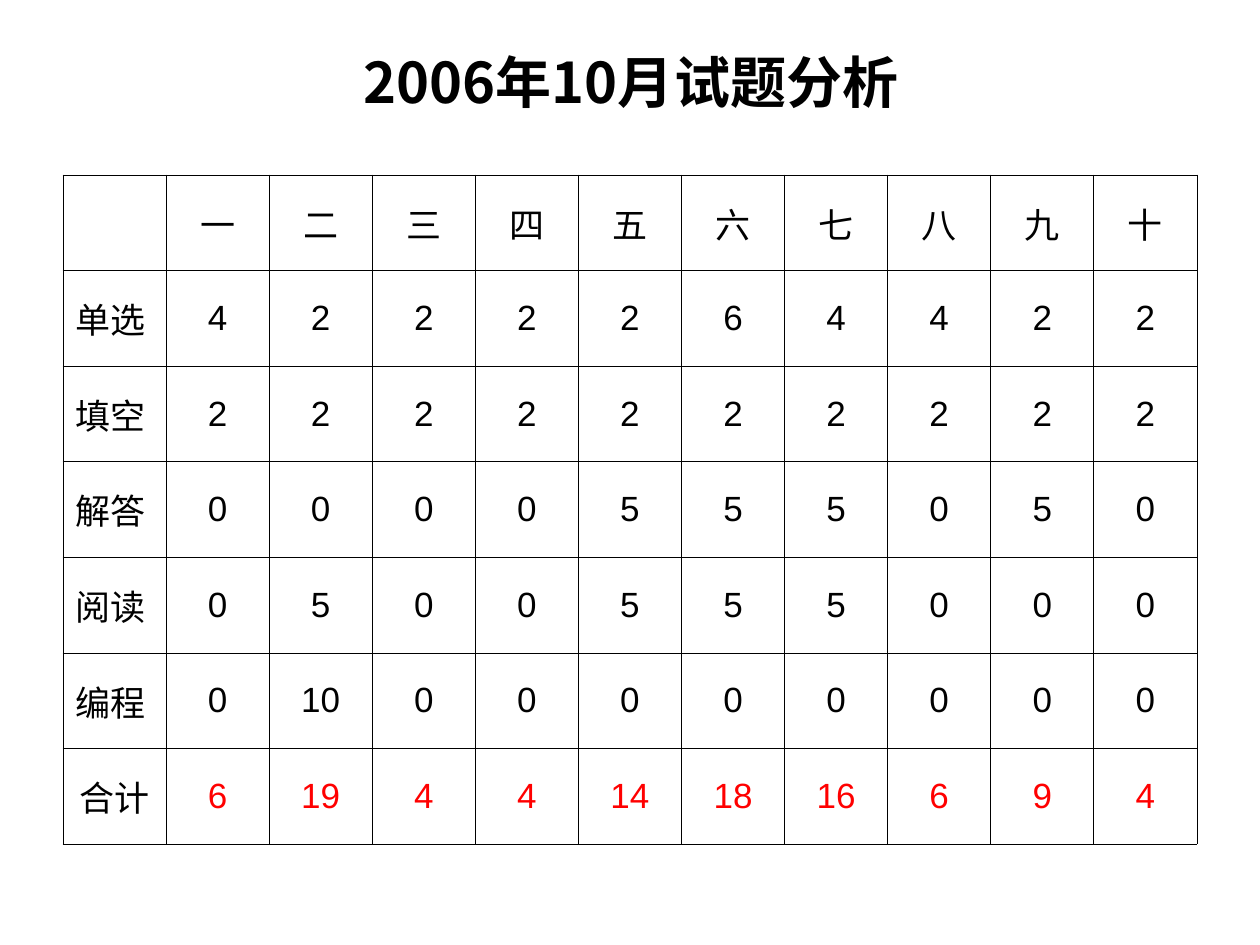
import pptx
import pptx.dml.color
import pptx.enum.text
import pptx.oxml
import pptx.oxml.ns
import pptx.util

Pt = pptx.util.Pt
ALIGN = pptx.enum.text.PP_ALIGN
MIDDLE = pptx.enum.text.MSO_ANCHOR.MIDDLE
CHINESE_FONT = "Noto Sans CJK SC"
BLACK, RED = "000000", "FF0000"


def write_text(frame, text, size=20, font=CHINESE_FONT, color=BLACK, bold=False, align=ALIGN.CENTER):
    para = frame.paragraphs[0]
    para.alignment = align
    span = para.add_run()
    span.text = text
    span.font.size = Pt(size)
    span.font.bold = bold
    span.font.color.rgb = pptx.dml.color.RGBColor.from_string(color)
    span.font.name = font
    east_asian = pptx.oxml.parse_xml(f'<a:ea {pptx.oxml.ns.nsdecls("a")} typeface="{CHINESE_FONT}"/>')
    span.font._element.append(east_asian)


def add_borders(cell, color=BLACK, width=0.45):
    properties = cell._tc.get_or_add_tcPr()
    for position, side in enumerate(("lnL", "lnR", "lnT", "lnB")):
        properties.insert(position, pptx.oxml.parse_xml(
            f'<a:{side} {pptx.oxml.ns.nsdecls("a")} w="{int(Pt(width))}">'
            f'<a:solidFill><a:srgbClr val="{color}"/></a:solidFill></a:{side}>'))


deck = pptx.Presentation()
deck.slide_width, deck.slide_height = Pt(720), Pt(540)
page = deck.slides.add_slide(deck.slide_layouts[5])

title = page.shapes.title
title.left, title.top, title.width, title.height = Pt(36.5), Pt(9.5), Pt(648), Pt(74)
title.text_frame.vertical_anchor = MIDDLE
write_text(title.text_frame, "2006年10月试题分析", size=32, bold=True)

chapters = "一二三四五六七八九十"
marks = {
    "单选": [4, 2, 2, 2, 2, 6, 4, 4, 2, 2],
    "填空": [2, 2, 2, 2, 2, 2, 2, 2, 2, 2],
    "解答": [0, 0, 0, 0, 5, 5, 5, 0, 5, 0],
    "阅读": [0, 5, 0, 0, 5, 5, 5, 0, 0, 0],
    "编程": [0, 10, 0, 0, 0, 0, 0, 0, 0, 0],
}
totals = [sum(column) for column in zip(*marks.values())]
rows = [["", *chapters], *([name, *values] for name, values in marks.items()), ["合计", *totals]]

table = page.shapes.add_table(len(rows), len(rows[0]), Pt(36), Pt(100), Pt(648), Pt(382.5)).table
table.first_row = table.horz_banding = False

for row_index, row in enumerate(rows):
    is_total = row_index == len(rows) - 1
    for column_index, value in enumerate(row):
        cell = table.cell(row_index, column_index)
        cell.vertical_anchor = MIDDLE
        cell.fill.background()
        add_borders(cell)
        if value == "":
            continue
        is_number = isinstance(value, int)
        is_left = column_index == 0 and not is_total
        write_text(cell.text_frame, str(value),
                   font="Arial" if is_number else CHINESE_FONT,
                   color=RED if is_number and is_total else BLACK,
                   align=ALIGN.LEFT if is_left else ALIGN.CENTER)

deck.save("out.pptx")
